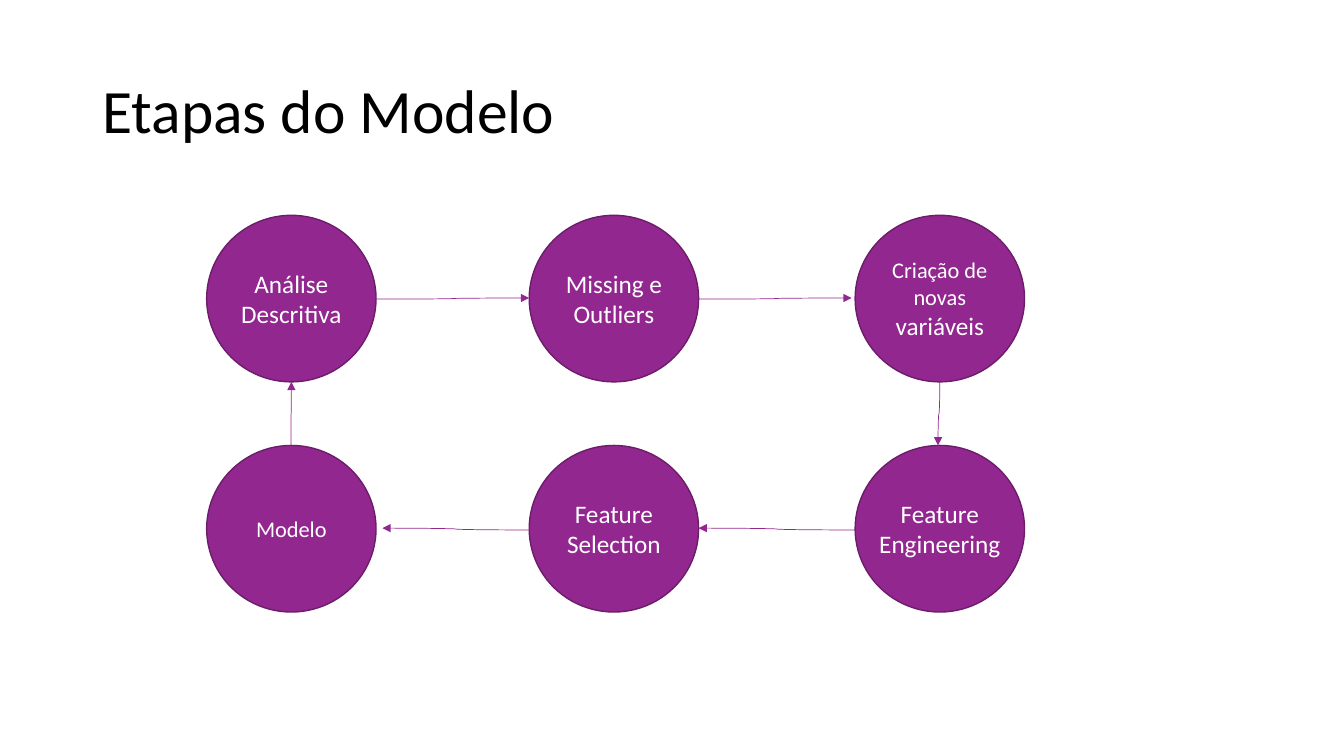
from lxml.etree import SubElement
from pptx import Presentation
from pptx.dml.color import RGBColor
from pptx.enum.shapes import MSO_CONNECTOR, MSO_SHAPE
from pptx.enum.text import MSO_ANCHOR, PP_ALIGN
from pptx.oxml.ns import qn
from pptx.util import Pt

PURPLE = RGBColor(0x92, 0x27, 0x8F)
DARK_PURPLE = RGBColor(0x6C, 0x1D, 0x6A)
BLACK = RGBColor(0, 0, 0)
WHITE = RGBColor(255, 255, 255)
CIRCLE_WIDTH, CIRCLE_HEIGHT = 121, 119
COLUMNS = (0, 230.4, 463.2)
ROWS = (0, 164.4)

STAGES = [
    (0, 0, [[("Análise", 18)], [("Descritiva", 18)]], False),
    (1, 0, [[("Missing e Outliers", 18)]], True),
    (2, 0, [[("Criação de novas ", 16), ("variáveis", 18)]], True),
    (2, 1, [[("Feature", 18)], [("Engineering", 18)]], False),
    (1, 1, [[("Feature Selection", 18)]], True),
    (0, 1, [[("Modelo", 16)]], True),
]


def add_run(paragraph, text, size, color):
    run = paragraph.add_run()
    run.text = text
    for name, value in {"name": "Calibri", "size": Pt(size)}.items():
        setattr(run.font, name, value)
    run.font.color.rgb = color


def add_title(slide, left, top, width, height):
    shape = slide.shapes.add_textbox(Pt(left), Pt(top), Pt(width), Pt(height))
    frame = shape.text_frame
    for name, value in {"word_wrap": True, "vertical_anchor": MSO_ANCHOR.MIDDLE}.items():
        setattr(frame, name, value)
    paragraph = frame.paragraphs[0]
    paragraph.line_spacing = 0.9
    add_run(paragraph, "Etapas do Modelo", 44, BLACK)


def add_stage(slide, left, top, paragraphs, wrap):
    shape = slide.shapes.add_shape(
        MSO_SHAPE.OVAL, Pt(left), Pt(top), Pt(CIRCLE_WIDTH), Pt(CIRCLE_HEIGHT))
    shape.shadow.inherit = False
    shape.fill.solid()
    shape.fill.fore_color.rgb = PURPLE
    shape.line.color.rgb = DARK_PURPLE
    shape.line.width = Pt(1)
    frame = shape.text_frame
    for name, value in {"word_wrap": wrap, "vertical_anchor": MSO_ANCHOR.MIDDLE}.items():
        setattr(frame, name, value)
    for index, runs in enumerate(paragraphs):
        paragraph = frame.add_paragraph() if index else frame.paragraphs[0]
        paragraph.alignment = PP_ALIGN.CENTER
        for text, size in runs:
            add_run(paragraph, text, size, WHITE)


def add_arrow(slide, start, end, quarter_turns=0):
    (x1, y1), (x2, y2) = start, end
    if quarter_turns:
        middle_x, middle_y = (x1 + x2) / 2, (y1 + y2) / 2
        half_length, half_shift = abs(y2 - y1) / 2, abs(x2 - x1) / 2
        x1, x2 = middle_x - half_length, middle_x + half_length
        y1, y2 = middle_y - half_shift, middle_y + half_shift
    connector = slide.shapes.add_connector(
        MSO_CONNECTOR.CURVE, Pt(x1), Pt(y1), Pt(x2), Pt(y2))
    connector.line.color.rgb = PURPLE
    connector.line.width = Pt(0.5)
    properties = connector._element.spPr
    if quarter_turns:
        properties.find(qn("a:xfrm")).set("rot", str(quarter_turns * 5400000))
    SubElement(properties.find(qn("a:ln")), qn("a:tailEnd"), type="triangle")
    SubElement(properties, qn("a:effectLst"))


def add_cycle(slide, left, top):
    for column, row, paragraphs, wrap in STAGES:
        add_stage(slide, left + COLUMNS[column], top + ROWS[row], paragraphs, wrap)
    first, second, third = (left + offset for offset in COLUMNS)
    upper, lower = (top + offset + CIRCLE_HEIGHT / 2 for offset in ROWS)
    upper_bottom, lower_top = top + CIRCLE_HEIGHT, top + ROWS[1]
    center = CIRCLE_WIDTH / 2
    for start, end in ((first, second), (second, third - 2.5)):
        add_arrow(slide, (start + CIRCLE_WIDTH, upper + 0.4), (end, upper - 0.4))
    for start, end in ((third, second), (second, first + 4.5)):
        add_arrow(slide, (start, lower + 0.9), (end + CIRCLE_WIDTH, lower - 0.4))
    add_arrow(slide, (third + center, upper_bottom), (third + center - 1.3, lower_top), 1)
    add_arrow(slide, (first + center - 0.3, lower_top), (first + center, upper_bottom), 3)


def main():
    presentation = Presentation()
    presentation.slide_width, presentation.slide_height = Pt(960), Pt(540)
    slide = presentation.slides.add_slide(presentation.slide_layouts[6])
    add_title(slide, 66, 28.75, 828, 104.4)
    add_cycle(slide, 147.6, 153.8)
    presentation.save("out.pptx")


if __name__ == "__main__":
    main()
